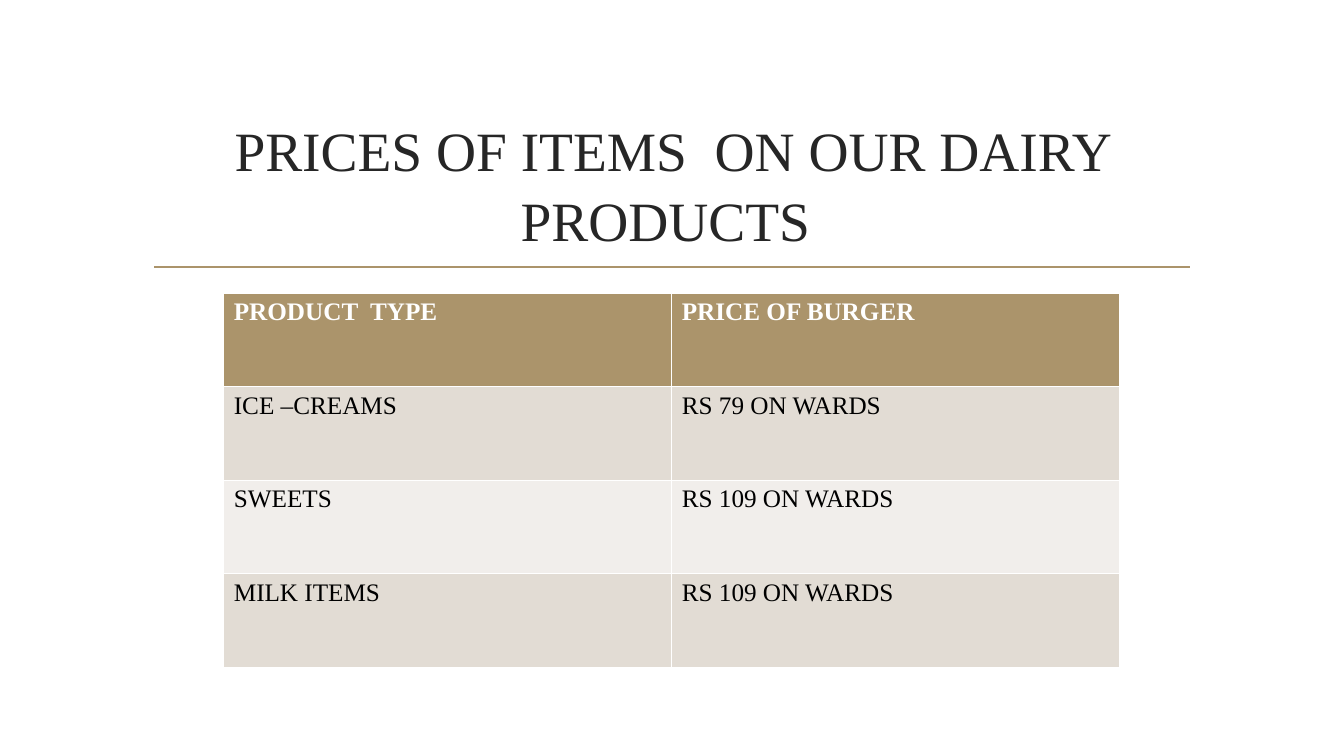
from lxml.etree import SubElement
from pptx import Presentation
from pptx.dml.color import RGBColor
from pptx.enum.shapes import MSO_CONNECTOR
from pptx.enum.text import MSO_ANCHOR, MSO_AUTO_SIZE, PP_ALIGN
from pptx.oxml.ns import qn
from pptx.util import Cm, Pt

COLORS = {
    "gold": "AB946B",
    "sand": "E2DCD4",
    "cream": "F1EEEB",
    "white": "FFFFFF",
    "black": "000000",
    "title": "262626",
}
ROWS = [
    ("PRODUCT  TYPE", "PRICE OF BURGER"),
    ("ICE –CREAMS", "RS 79 ON WARDS"),
    ("SWEETS", "RS 109 ON WARDS"),
    ("MILK ITEMS", "RS 109 ON WARDS"),
]


def rgb(name):
    return RGBColor.from_string(COLORS[name])


def write(p, text, color, **fmt):
    r = p.add_run()
    r.text = text
    r.font.name = "Times New Roman"
    r.font.color.rgb = rgb(color)
    for key, value in fmt.items():
        setattr(r.font, key, value)


prs = Presentation()
prs.slide_width, prs.slide_height = Cm(33.87), Cm(19.05)
s = prs.slides.add_slide(prs.slide_layouts[5])

rule = s.shapes.add_connector(
    MSO_CONNECTOR.STRAIGHT, Cm(3.89), Cm(6.73), Cm(30), Cm(6.73))
rule.line.color.rgb = rgb("gold")
rule.line.width = Pt(1.25)
SubElement(rule._element.spPr, qn("a:effectLst"))

title = s.shapes.title
title.left, title.top, title.width, title.height = Cm(3.61), Cm(2.72), Cm(26.67), Cm(3.63)
tf = title.text_frame
frame_format = {
    "word_wrap": True,
    "auto_size": MSO_AUTO_SIZE.NONE,
    "vertical_anchor": MSO_ANCHOR.MIDDLE,
    "margin_top": Cm(0.28),
}
for key, value in frame_format.items():
    setattr(tf, key, value)
p = tf.paragraphs[0]
p.alignment = PP_ALIGN.CENTER
p.line_spacing = 1.04
write(p, "PRICES OF ITEMS  ON OUR DAIRY PRODUCTS ", "title", size=Pt(39.6))

table = s.shapes.add_table(
    len(ROWS), 2, Cm(5.64), Cm(7.39), Cm(22.58), Cm(9.42)).table
for i, row in enumerate(ROWS):
    header = i == 0
    fill = "gold" if header else ("cream", "sand")[i % 2]
    for j, text in enumerate(row):
        cell = table.cell(i, j)
        cell.fill.solid()
        cell.fill.fore_color.rgb = rgb(fill)
        write(cell.text_frame.paragraphs[0], text,
              "white" if header else "black", size=Pt(18), bold=header)

prs.save("out.pptx")
